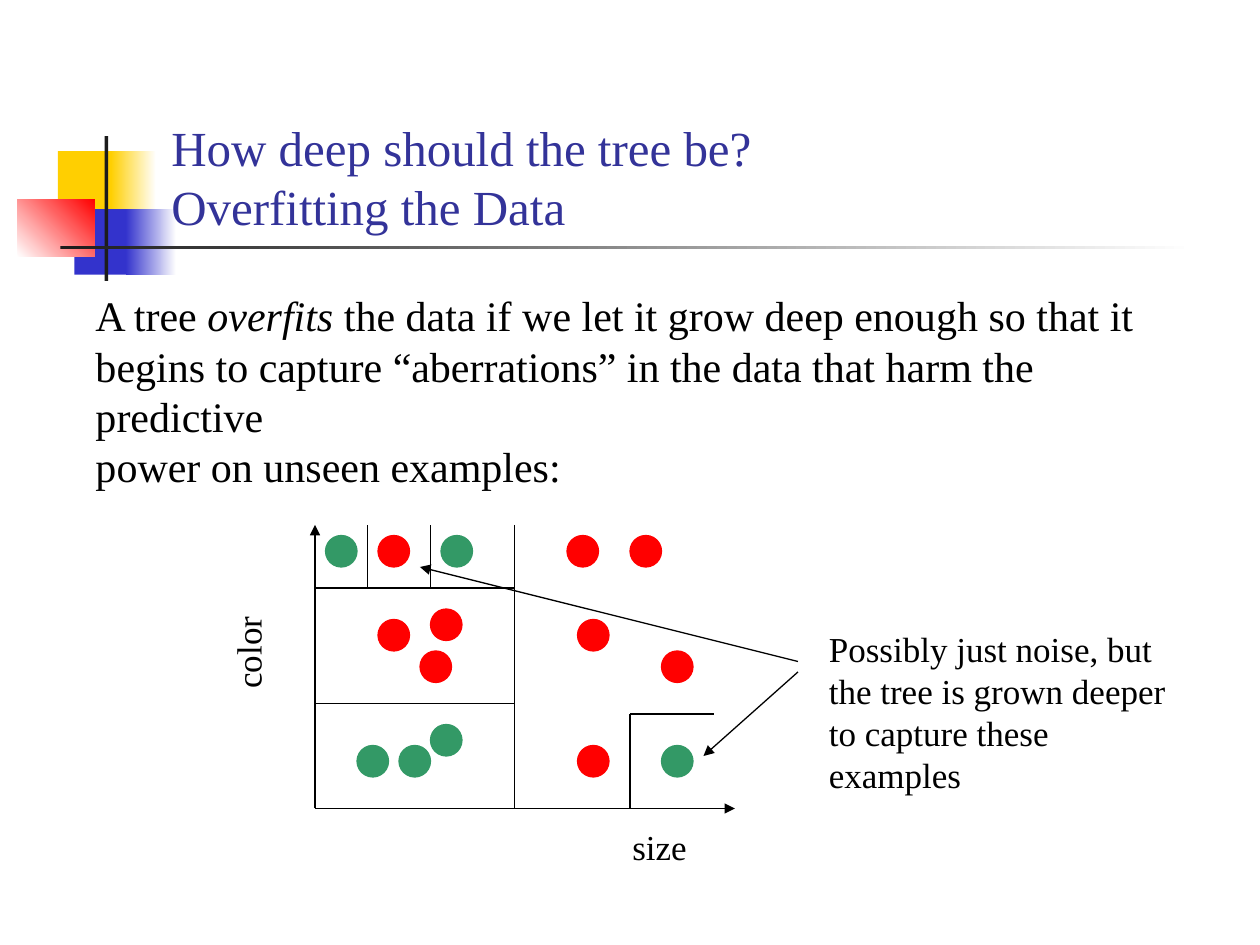
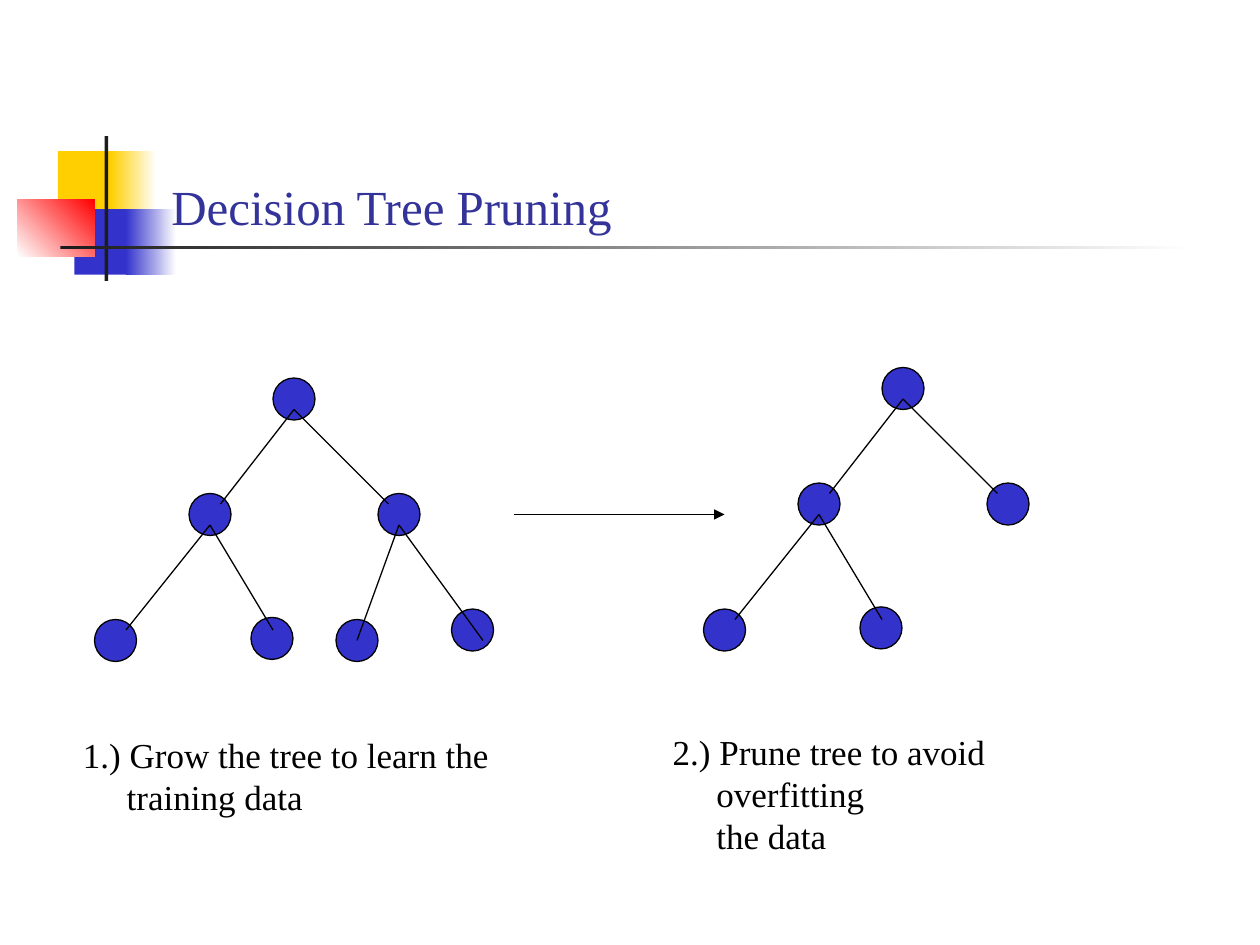
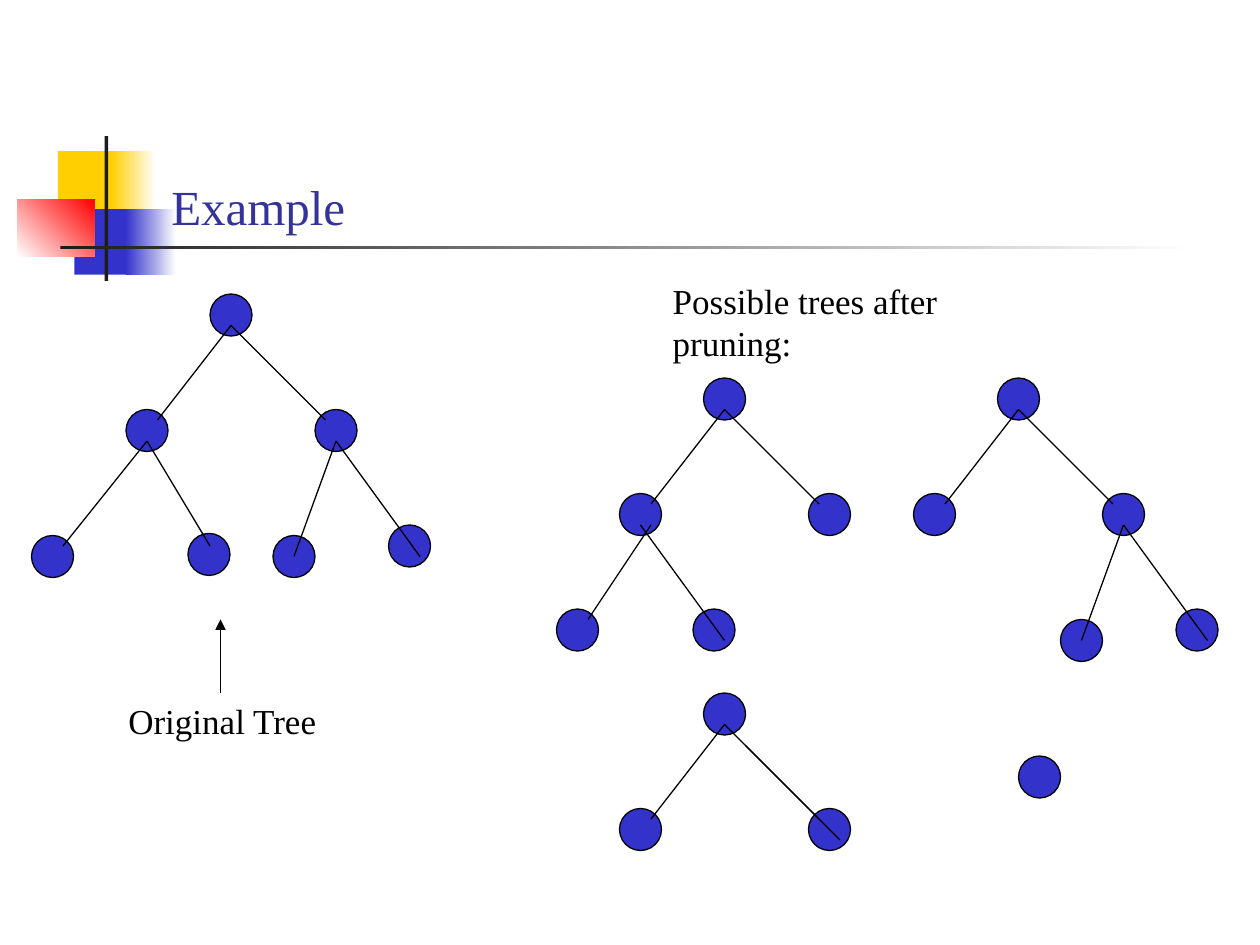
from lxml.etree import SubElement
from pptx import Presentation
from pptx.dml.color import RGBColor
from pptx.enum.shapes import MSO_CONNECTOR, MSO_SHAPE
from pptx.enum.text import MSO_ANCHOR, PP_ALIGN
from pptx.oxml.ns import qn
from pptx.util import Inches, Pt

COLORS = {name: RGBColor.from_string(value) for name, value in {
    "white": "FFFFFF", "black": "000000", "ink": "1C1C1C", "title": "333399",
    "yellow": "FFCF01", "blue": "3333CC", "red": "FF0000", "green": "339966",
}.items()}
FONT = "Times New Roman"
CELL = Inches(1) / 12  # the diagrams sit on a grid of 120 columns by 90 rows
LINE_WIDTH = Pt(0.75)
HANGING_INDENT = Pt(25)


def add_text(page, left, top, width, height, lines, size=20,
             align=PP_ALIGN.LEFT, hanging=False):
    """Add one paragraph per line; text between asterisks is italic."""
    box = page.shapes.add_textbox(*map(Inches, (left, top, width, height)))
    frame = box.text_frame
    frame.word_wrap = False
    for number, line in enumerate(lines):
        para = frame.add_paragraph() if number else frame.paragraphs[0]
        para.alignment = align
        para.font.name, para.font.size = FONT, Pt(size)
        para.font.color.rgb = COLORS["black"]
        for part, words in enumerate(line.split("*")):
            span = para.add_run()
            span.text = words
            if part % 2:
                span.font.italic = True
        if hanging:
            properties = para._p.get_or_add_pPr()
            properties.set("marL", str(HANGING_INDENT))
            properties.set("indent", str(0 if number else -HANGING_INDENT))
    return box


deck = Presentation()
deck.slide_width, deck.slide_height = Inches(10), Inches(7.5)
title_only = deck.slide_layouts[5]

# Titles
pages = []
for heading in ("How deep should the tree be? \vOverfitting the Data",
                "Decision Tree Pruning", "Example"):
    page = deck.slides.add_slide(title_only)
    title = page.shapes.title
    title.left, title.top = Inches(1.26), Inches(0.67)
    title.width, title.height = Inches(8.52), Inches(1.25)
    title.text_frame.text = heading
    title.text_frame.vertical_anchor = MSO_ANCHOR.BOTTOM
    para = title.text_frame.paragraphs[0]
    para.alignment = PP_ALIGN.LEFT
    para.font.name, para.font.size = FONT, Pt(28)
    para.font.color.rgb = COLORS["title"]
    pages.append(page)
overfitting, pruning, example = pages

# Title ornament, shared through the slide master: left, top, width, height,
# first colour, last colour, gradient angle
ornament = [
    (0.46, 1.2, 0.48, 0.52, "yellow", None, 0),
    (0.88, 1.2, 0.36, 0.52, "yellow", "white", 0),
    (0.59, 1.66, 0.46, 0.52, "blue", None, 0),
    (1, 1.66, 0.4, 0.52, "blue", "white", 0),
    (0.14, 1.58, 0.61, 0.46, "white", "red", 45),
    (0.83, 1.08, 0.03, 1.15, "ink", None, 0),
    (0.48, 1.95, 9, 0.03, "ink", "white", 0),
]
master_tree = deck.slide_master.shapes.element
for layer, (*place, first, last, angle) in enumerate(ornament):
    block = overfitting.shapes.add_shape(MSO_SHAPE.RECTANGLE, *map(Inches, place))
    block.shadow.inherit = False
    block.line.fill.background()
    if last:
        block.fill.gradient()
        block.fill.gradient_angle = angle
        for stop, color in zip(block.fill.gradient_stops, (first, last)):
            stop.color.rgb = COLORS[color]
    else:
        block.fill.solid()
        block.fill.fore_color.rgb = COLORS[first]
    master_tree.insert(2 + layer, block.element)

# Discs: page, column, row, size, fill, outline
# Lines: page, start column, start row, end column, end row, has arrowhead
discs, lines = [], []

# Scatter plot of the training data
samples = {
    "red": [(36, 51), (54, 51), (60, 51), (41, 58), (36, 59), (55, 59),
            (40, 62), (63, 62), (55, 71)],
    "green": [(31, 51), (42, 51), (41, 69), (34, 71), (38, 71), (63, 71)],
}
for color, spots in samples.items():
    discs += [(overfitting, *spot, 3, color, color) for spot in spots]
axes = [(30, 77, 30, 50), (30, 77, 70, 77)]
splits = [(49, 50, 49, 77), (60, 77, 60, 68), (60, 68, 68, 68), (30, 67, 49, 67),
          (30, 56, 49, 56), (35, 56, 35, 50), (41, 56, 41, 50)]
noise_pointers = [(76, 63, 40, 54), (76, 64, 67, 72)]
lines += [(overfitting, *ends, True) for ends in axes + noise_pointers]
lines += [(overfitting, *ends, False) for ends in splits]

# Tree nodes relative to the root: the disc, then the branch that leads to it
NODES = {
    "left": ((-8, 11), (2, 3, -5, 12)),
    "right": ((10, 11), (2, 3, 11, 12)),
    "left-left": ((-17, 23), (-6, 14, -14, 24)),
    "left-right": ((-2.1, 22.8), (-6, 14, 0, 24)),
    "right-left": ((6, 23), (12, 14, 8, 25)),
    "right-right": ((17, 22), (12, 14, 20, 25)),
    "narrow-left": ((-14, 22), (-5, 14, -11, 23)),
    "narrow-right": ((-1, 22), (-6, 14, 2, 25)),
}
CHILDREN = ["left", "right"]
LEFT_LEAVES = ["left-left", "left-right"]
RIGHT_LEAVES = ["right-left", "right-right"]
trees = [
    (pruning, 26, 36, CHILDREN + LEFT_LEAVES + RIGHT_LEAVES),
    (pruning, 84, 35, CHILDREN + LEFT_LEAVES),
    (example, 20, 28, CHILDREN + LEFT_LEAVES + RIGHT_LEAVES),
    (example, 67, 36, CHILDREN + ["narrow-left", "narrow-right"]),
    (example, 95, 36, CHILDREN + RIGHT_LEAVES),
    (example, 67, 66, CHILDREN),
    (example, 97, 72, []),
]
for page, column, row, names in trees:
    discs.append((page, column, row, 4, "blue", "black"))
    for name in names:
        (across, down), (x1, y1, x2, y2) = NODES[name]
        discs.append((page, column + across, row + down, 4, "blue", "black"))
        lines.append((page, column + x1, row + y1, column + x2, row + y2, False))
lines += [(pruning, 49, 49, 69, 49, True), (example, 21, 66, 21, 59, True),
          (example, 71, 71, 80, 80, False)]

for page, column, row, size, fill, outline in discs:
    disc = page.shapes.add_shape(
        MSO_SHAPE.OVAL, *(round(CELL * cells) for cells in (column, row, size, size)))
    disc.shadow.inherit = False
    disc.fill.solid()
    disc.fill.fore_color.rgb = COLORS[fill]
    disc.line.color.rgb = COLORS[outline]
    disc.line.width = LINE_WIDTH

for page, *ends, has_arrowhead in lines:
    line = page.shapes.add_connector(
        MSO_CONNECTOR.STRAIGHT, *(round(CELL * cells) for cells in ends))
    line.line.color.rgb = COLORS["black"]
    line.line.width = LINE_WIDTH
    if has_arrowhead:
        SubElement(line.line._get_or_add_ln(), qn("a:tailEnd"), type="triangle")
    SubElement(line.element.spPr, qn("a:effectLst"))

# Texts
add_text(overfitting, 0.66, 2.25, 9.06, 1.3, [
    "A tree *overfits* the data if we let it grow deep enough so that it",
    "begins to capture “aberrations” in the data that harm the predictive",
    "power on unseen examples:"], size=24)
add_text(overfitting, 4.92, 6.5, 0.63, 0.44, ["size"], align=PP_ALIGN.CENTER)
color_label = add_text(overfitting, 0.46, 4.96, 3.02, 0.44, ["color"],
                       align=PP_ALIGN.CENTER)
color_label.rotation = 270
add_text(overfitting, 6.48, 4.93, 3.06, 1.1, [
    "Possibly just noise, but", "the tree is grown deeper",
    "to capture these examples"])
add_text(pruning, 0.56, 5.77, 3.49, 0.77,
         ["1.) Grow the tree to learn the", "training data"], hanging=True)
add_text(pruning, 5.24, 5.75, 3.92, 0.77,
         ["2.) Prune tree to avoid overfitting", "the data"], hanging=True)
add_text(example, 0.92, 5.5, 1.7, 0.44, ["Original Tree"])
add_text(example, 5.24, 2.17, 3.31, 0.44, ["Possible trees after pruning:"])

deck.save("out.pptx")
